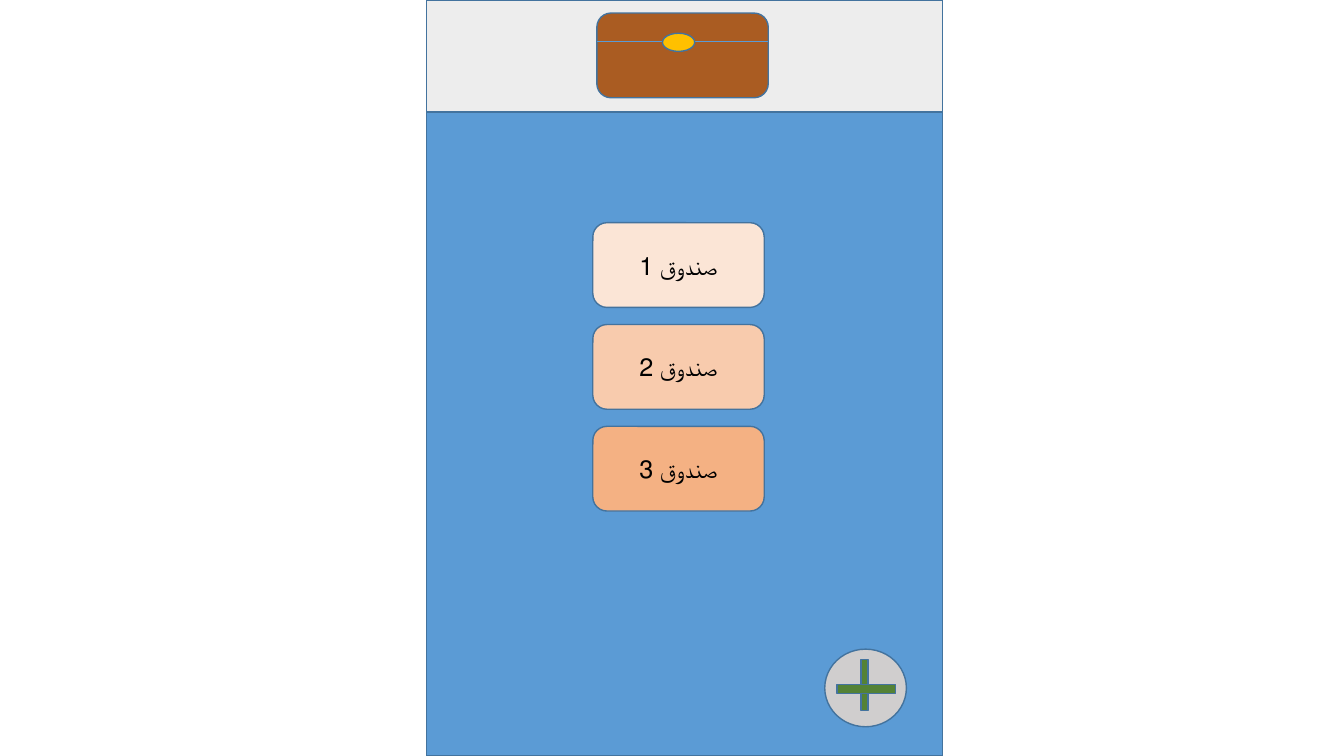
from pptx import Presentation, util as u
from pptx.dml.color import RGBColor
from pptx.enum import shapes, text
from pptx.oxml import parse_xml
from pptx.oxml.ns import nsdecls

PX = 9144
KIND = shapes.MSO_SHAPE
OUTLINE = "43739E"


def px(length):
    """Turn px (100 to the inch) into EMU."""
    return u.Emu(length * PX)


def rgb(code):
    """Turn a hex string into a colour."""
    return RGBColor.from_string(code)


def block(slide, kind, box, fill):
    """Draw a filled, outlined shape in the given box."""
    body = slide.shapes.add_shape(kind, *map(px, box))
    body.shadow.inherit = False
    body.fill.solid()
    body.fill.fore_color.rgb = rgb(fill)
    body.line.color.rgb = rgb(OUTLINE)
    body.line.width = u.Pt(1)
    return body


def screen(slide, box, header_height):
    """Draw the phone screen and its header band."""
    left, top, width, height = box
    block(slide, KIND.RECTANGLE, box, "5B9BD5")
    block(slide, KIND.RECTANGLE, (left, top, width, header_height), "EDEDED")


def chest(slide, box):
    """Draw the chest with its lid seam and lock."""
    left, top, width, height = box
    seam_y = top + height // 3
    block(slide, KIND.ROUNDED_RECTANGLE, box, "AA5C22")
    seam = slide.shapes.add_connector(
        shapes.MSO_CONNECTOR.STRAIGHT,
        px(left), px(seam_y), px(left + width), px(seam_y))
    seam.line.color.rgb = rgb("5B9BD5")
    seam.line.width = u.Pt(0.5)
    seam._element.spPr.append(parse_xml(f"<a:effectLst {nsdecls('a')}/>"))
    block(slide, KIND.OVAL, (left + 65, seam_y - 8, 32, 18), "FFC000")


def box_buttons(slide, box, pitch, fills):
    """Stack one numbered button per fill, starting at the given box."""
    left, top, width, height = box
    for index, fill in enumerate(fills):
        button = block(slide, KIND.ROUNDED_RECTANGLE,
                       (left, top + index * pitch, width, height), fill)
        button.text_frame.vertical_anchor = text.MSO_ANCHOR.MIDDLE
        caption = button.text_frame.paragraphs[0]
        caption.alignment = text.PP_ALIGN.CENTER
        caption._p.get_or_add_pPr().set("rtl", "1")
        label = caption.add_run()
        label.text = f"صندوق {index + 1}"
        label.font.size = u.Pt(18)
        label.font.name = "Calibri"
        label.font.color.rgb = rgb("000000")


def add_button(slide, box):
    """Draw the round button with a plus sign."""
    left, top, width, height = box
    block(slide, KIND.OVAL, box, "D0CECE")
    for bar in ((left + 36, top + 10, 7, 51), (left + 12, top + 35, 58, 9)):
        block(slide, KIND.RECTANGLE, bar, "548235")


def main():
    """Build and save the slide."""
    deck = Presentation()
    deck.slide_width, deck.slide_height = px(1333), px(750)
    slide = deck.slides.add_slide(deck.slide_layouts[6])
    screen(slide, (423, 0, 512, 750), 111)
    chest(slide, (592, 13, 170, 84))
    box_buttons(slide, (588, 221, 170, 84), 101, ("FBE5D6", "F8CBAD", "F4B183"))
    add_button(slide, (818, 644, 81, 77))
    deck.save("out.pptx")


if __name__ == "__main__":
    main()
